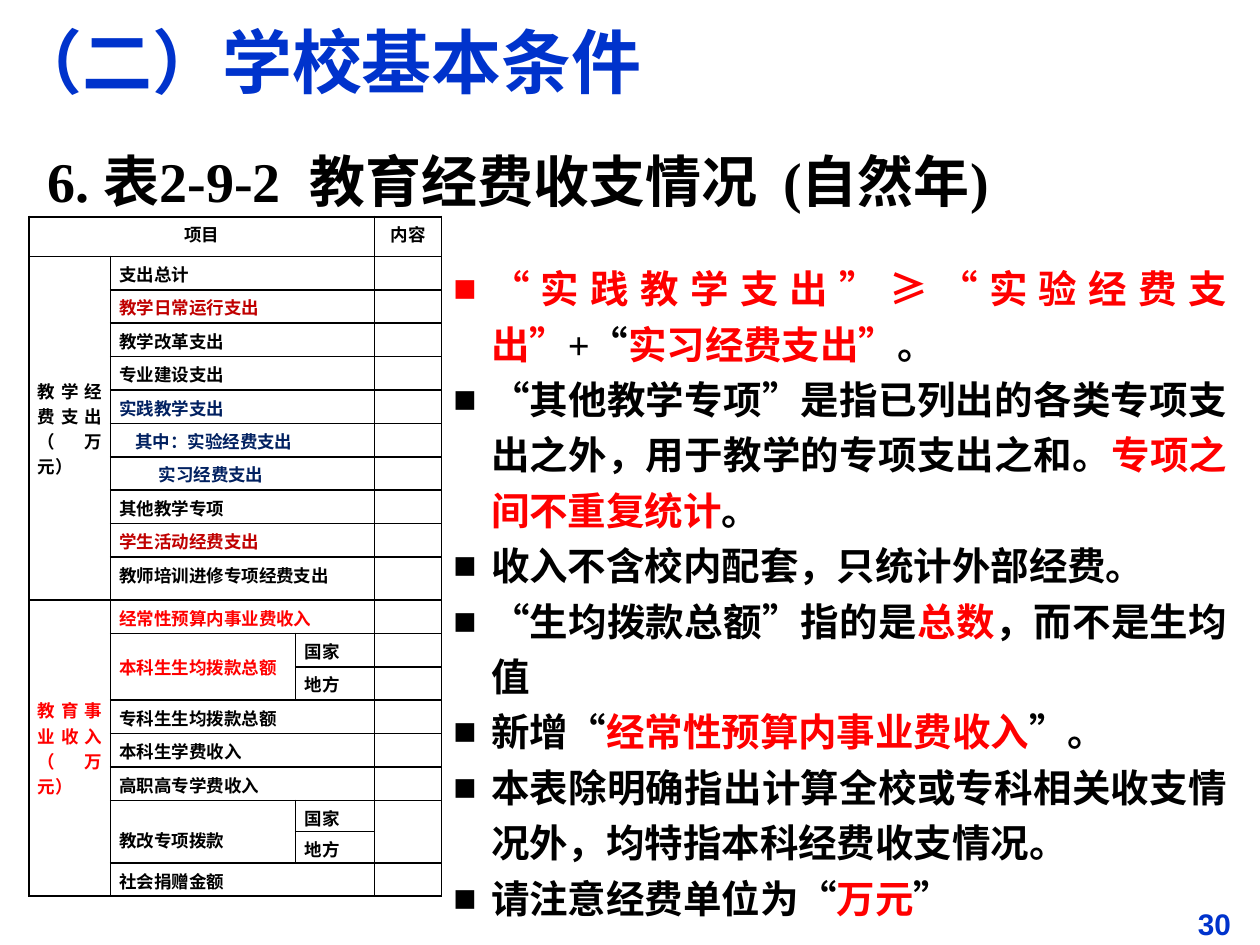
from lxml import etree
from pptx import Presentation
from pptx.dml.color import RGBColor
from pptx.enum.text import MSO_ANCHOR, PP_ALIGN
from pptx.oxml.ns import qn
from pptx.util import Cm, Pt

TOP, MIDDLE = MSO_ANCHOR.TOP, MSO_ANCHOR.MIDDLE
LEFT, CENTER, JUSTIFY = PP_ALIGN.LEFT, PP_ALIGN.CENTER, PP_ALIGN.JUSTIFY
BLACK = RGBColor(0x00, 0x00, 0x00)
WHITE = RGBColor(0xFF, 0xFF, 0xFF)
BLUE = RGBColor(0x00, 0x33, 0xCC)
NAVY = RGBColor(0x00, 0x20, 0x60)
RED = RGBColor(0xFF, 0x00, 0x00)
DARK_RED = RGBColor(0xC0, 0x00, 0x00)
SERIF, SANS, TABLE_FONT, CHINESE = "Times New Roman", "Arial", "Calibri", "Noto Sans CJK SC"

COLUMN_WIDTHS = (1.65, 3.73, 1.59, 1.35)
HEADER_HEIGHT, TALL_HEIGHT, SHORT_HEIGHT = 0.8, 0.87, 0.63
ROW_COUNT, TALL_ROW, SHORT_ROWS = 20, 10, (17, 18)
CELL_MARGIN_X, CELL_MARGIN_Y = 0.18, 0.1

# row, column, row span, column span, text, format
TABLE_CELLS = [
    (0, 0, 1, 3, "项目", dict(align=CENTER)),
    (0, 3, 1, 1, "内容", dict(align=CENTER)),
    (1, 0, 10, 1, "教学经费支出（万元）", dict(anchor=MIDDLE)),
    (1, 1, 1, 2, "支出总计", {}),
    (2, 1, 1, 2, "教学日常运行支出", dict(color=DARK_RED)),
    (3, 1, 1, 2, "教学改革支出", {}),
    (4, 1, 1, 2, "专业建设支出", {}),
    (5, 1, 1, 2, "实践教学支出", dict(color=NAVY)),
    (6, 1, 1, 2, "其中：实验经费支出", dict(color=NAVY, indent=0.32)),
    (7, 1, 1, 2, "实习经费支出", dict(color=NAVY, indent=0.79)),
    (8, 1, 1, 2, "其他教学专项", {}),
    (9, 1, 1, 2, "学生活动经费支出", dict(color=DARK_RED)),
    (10, 1, 1, 2, "教师培训进修专项经费支出", {}),
    (11, 0, 9, 1, "教育事业收入（万元）", dict(color=RED, anchor=MIDDLE)),
    (11, 1, 1, 2, "经常性预算内事业费收入", dict(color=RED, anchor=MIDDLE)),
    (12, 1, 2, 1, "本科生生均拨款总额", dict(color=RED, anchor=MIDDLE)),
    (12, 2, 1, 1, "国家", {}),
    (13, 2, 1, 1, "地方", {}),
    (14, 1, 1, 2, "专科生生均拨款总额", dict(anchor=MIDDLE)),
    (15, 1, 1, 2, "本科生学费收入", {}),
    (16, 1, 1, 2, "高职高专学费收入", {}),
    (17, 1, 2, 1, "教改专项拨款", dict(anchor=MIDDLE, drop=0.32)),
    (17, 2, 1, 1, "国家", {}),
    (17, 3, 2, 1, "", {}),
    (18, 2, 1, 1, "地方", {}),
    (19, 1, 1, 2, "社会捐赠金额", {}),
]

NOTES = [
    [("“实践教学支出”≥“实验经费支出”", RED), ("+“", BLACK), ("实习经费支出”", RED), ("。", BLACK)],
    [("“其他教学专项”是指已列出的各类专项支出之外，用于教学的专项支出之和。", BLACK),
     ("专项之间不重复统计", RED), ("。", BLACK)],
    [("收入不含校内配套，只统计外部经费。", BLACK)],
    [("“生均拨款总额”指的是", BLACK), ("总数", RED), ("，而不是生均值", BLACK)],
    [("新增“", BLACK), ("经常性预算内事业费收入", RED), ("”。", BLACK)],
    [("本表除明确指出计算全校或专科相关收支情况外，均特指本科经费收支情况。", BLACK)],
    [("请注意经费单位为“", BLACK), ("万元", RED), ("”", BLACK)],
]


def add_text(paragraph, text, size=10, font=TABLE_FONT, color=BLACK, align=LEFT):
    """Append a bold run with Latin and Chinese fonts to a paragraph."""
    paragraph.alignment = align
    run = paragraph.add_run()
    run.text = text
    run.font.size, run.font.bold, run.font.name = Pt(size), True, font
    run.font.color.rgb = color
    properties = run.font._element
    properties.set("lang", "zh-CN")
    etree.SubElement(properties, qn("a:ea")).set("typeface", CHINESE)


def add_frame(slide, box, anchor=TOP):
    """Add a wrapping text box and return its text frame."""
    frame = slide.shapes.add_textbox(*map(Cm, box)).text_frame
    frame.word_wrap, frame.vertical_anchor = True, anchor
    return frame


def add_line(slide, box, text, anchor=TOP, **style):
    """Add a text box that holds one line."""
    add_text(add_frame(slide, box, anchor).paragraphs[0], text, **style)


def set_bullet(paragraph):
    """Give a paragraph a square bullet with a hanging indent."""
    properties = paragraph._p.get_or_add_pPr()
    properties.set("marL", str(Cm(0.76)))
    properties.set("indent", str(-Cm(0.76)))
    etree.SubElement(properties, qn("a:buFont")).set("typeface", SANS)
    etree.SubElement(properties, qn("a:buChar")).set("char", "■")


def add_notes(slide, box):
    """Add the bulleted remarks."""
    frame = add_frame(slide, box)
    frame.margin_top = frame.margin_bottom = Cm(0.03)
    for index, runs in enumerate(NOTES):
        paragraph = frame.add_paragraph() if index else frame.paragraphs[0]
        paragraph.line_spacing = 1.2
        set_bullet(paragraph)
        for text, color in runs:
            add_text(paragraph, text, size=22, font=SERIF, color=color, align=JUSTIFY)


def set_borders(cell, top, bottom):
    """Draw black borders of the given top and bottom widths round a cell."""
    properties = cell._tc.get_or_add_tcPr()
    for index, (side, width) in enumerate((("L", 1), ("R", 1), ("T", top), ("B", bottom))):
        line = etree.Element(qn("a:ln" + side), w=str(Pt(width)))
        fill = etree.SubElement(line, qn("a:solidFill"))
        etree.SubElement(fill, qn("a:srgbClr")).set("val", str(BLACK))
        properties.insert(index, line)


def fill_cell(cell, text, color=BLACK, align=JUSTIFY, anchor=TOP, indent=0, drop=0):
    """Write and align the text of a table cell."""
    cell.vertical_anchor = anchor
    cell.margin_left = Cm(CELL_MARGIN_X + indent)
    cell.margin_top = Cm(CELL_MARGIN_Y + drop)
    if text:
        add_text(cell.text_frame.paragraphs[0], text, color=color, align=align)


def add_budget_table(slide, box):
    """Add the table of spending and income."""
    shape = slide.shapes.add_table(ROW_COUNT, len(COLUMN_WIDTHS), *map(Cm, box))
    table = shape.table
    table.first_row = table.horz_banding = False
    for column, width in zip(table.columns, COLUMN_WIDTHS):
        column.width = Cm(width)
    special = {0: HEADER_HEIGHT, TALL_ROW: TALL_HEIGHT, **dict.fromkeys(SHORT_ROWS, SHORT_HEIGHT)}
    regular = (box[3] - sum(special.values())) / (ROW_COUNT - len(special))
    last = ROW_COUNT - 1
    for index, row in enumerate(table.rows):
        row.height = Cm(special.get(index, regular))
        for cell in row.cells:
            cell.fill.solid()
            cell.fill.fore_color.rgb = WHITE
            cell.margin_left = cell.margin_right = Cm(CELL_MARGIN_X)
            cell.margin_top = cell.margin_bottom = Cm(CELL_MARGIN_Y)
            cell.text_frame.paragraphs[0].font.size = Pt(10)
            set_borders(cell, 1.5 if index == 0 else 1, 1.5 if index == last else 1)
    for row, column, row_span, column_span, text, style in TABLE_CELLS:
        cell = table.cell(row, column)
        if row_span * column_span > 1:
            cell.merge(table.cell(row + row_span - 1, column + column_span - 1))
        if row + row_span == ROW_COUNT and row_span > 1:
            cell._tc.tcPr.find(qn("a:lnB")).set("w", str(Pt(1.5)))
        fill_cell(cell, text, **style)


def build_slide(presentation):
    """Add the slide on school conditions."""
    slide = presentation.slides.add_slide(presentation.slide_layouts[6])
    add_line(slide, (23.9, 18.13, 1.5, 1), "30", size=17, font=SANS, color=BLUE)
    add_line(slide, (0, 0.33, 20.8, 1.8), "（二）学校基本条件", MIDDLE, size=40, font=SERIF, color=BLUE)
    add_line(slide, (0.71, 2.82, 24.4, 1.62), "6. 表2-9-2  教育经费收支情况  (自然年)", size=32, font=SERIF)
    add_notes(slide, (8.89, 5.13, 16.1, 13.61))
    add_budget_table(slide, (0.58, 4.37, sum(COLUMN_WIDTHS), 13.71))


def main():
    """Build and save the presentation."""
    presentation = Presentation()
    presentation.slide_width, presentation.slide_height = Cm(25.4), Cm(19.05)
    build_slide(presentation)
    presentation.save("out.pptx")


main()
